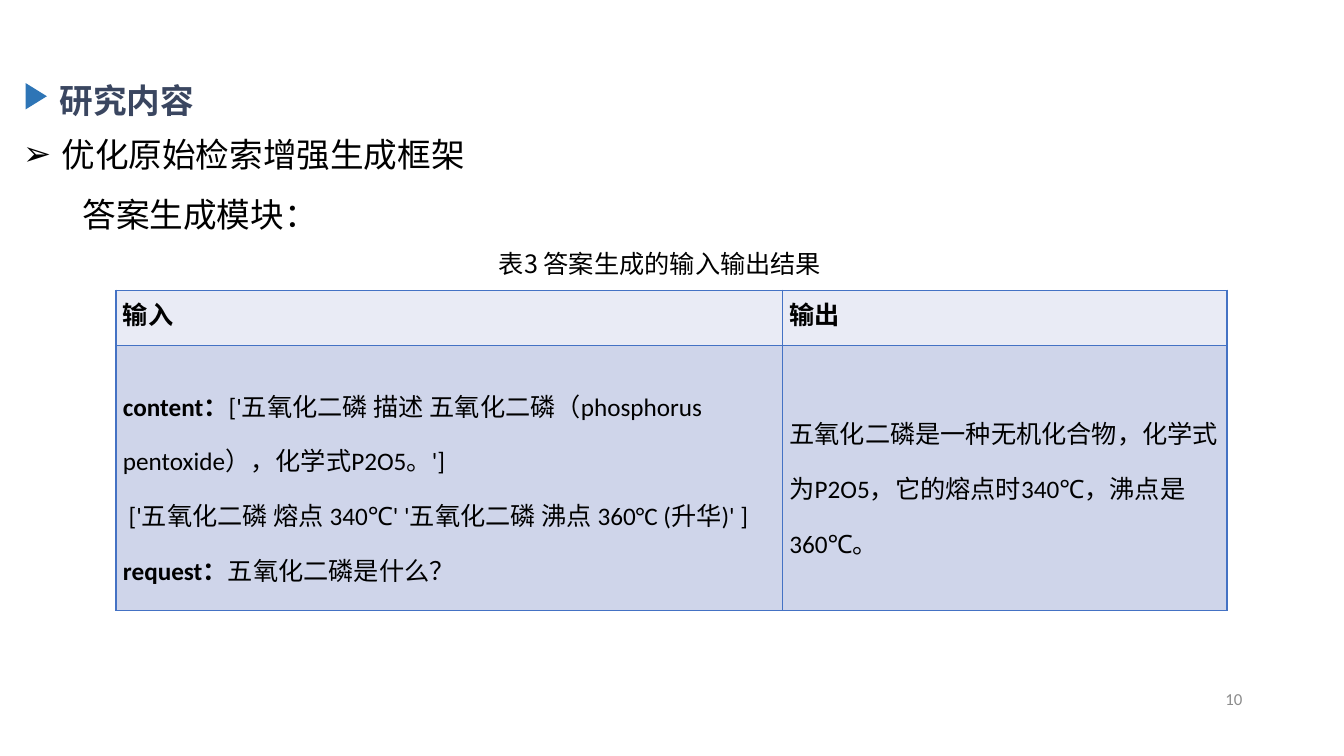
from dataclasses import dataclass

import lxml.etree
import pptx
import pptx.dml.color
import pptx.enum.shapes
import pptx.enum.text
import pptx.oxml
import pptx.oxml.ns
import pptx.presentation
import pptx.shapes.base
import pptx.slide
import pptx.table
import pptx.text.text
import pptx.util

Inches = pptx.util.Inches
Align = pptx.enum.text.PP_ALIGN
Anchor = pptx.enum.text.MSO_ANCHOR
qn = pptx.oxml.ns.qn


@dataclass(frozen=True)
class Theme:
    latin: str = "Calibri"
    chinese: str = "Noto Sans CJK SC"
    heading: str = "3A4660"
    text: str = "000000"
    muted: str = "8C8C8C"
    marker: str = "2E75B6"
    border: str = "4472C4"
    header_fill: str = "E9EBF5"
    body_fill: str = "CFD5EA"
    heading_size: int = 24
    table_size: int = 18
    number_size: int = 12


THEME = Theme()


@dataclass(frozen=True)
class Box:
    left: float
    top: float
    width: float
    height: float

    def lengths(self) -> tuple[int, ...]:
        return tuple(Inches(value) for value in (self.left, self.top, self.width, self.height))


@dataclass(frozen=True)
class Label:
    text: str
    box: Box
    size: int
    font: str = THEME.chinese
    color: str = THEME.text
    bold: bool = False
    align: Align = Align.LEFT
    anchor: Anchor = Anchor.TOP
    margins: tuple[float, float] = (0.1, 0.05)


@dataclass(frozen=True)
class Line:
    """One table paragraph: a bold lead followed by plain text."""

    lead: str = ""
    text: str = ""


@dataclass(frozen=True)
class Row:
    height: float
    fill: str
    spacing: float | pptx.util.Pt
    cells: tuple[tuple[Line, ...], ...]


TITLE = Label("研究内容", Box(0.52, 0.75, 4.57, 0.48), THEME.heading_size,
              color=THEME.heading, bold=True, margins=(0.07, 0.04))
TOPIC = Label("优化原始检索增强生成框架", Box(0.13, 1.28, 9.22, 0.55), THEME.heading_size)
LABELS = (
    Label("答案生成模块：", Box(0.72, 1.87, 11.89, 0.5), THEME.heading_size),
    Label("表3 答案生成的输入输出结果", Box(4.85, 2.41, 4.45, 1.01), THEME.table_size),
    Label("10", Box(9.42, 6.73, 3, 0.4), THEME.number_size, THEME.latin,
          THEME.muted, align=Align.RIGHT, anchor=Anchor.MIDDLE),
)
TABLE_BOX = Box(1.15, 2.88, 11.02, 2.48)
COLUMN_WIDTHS = (6.61, 4.41)
ROWS = (
    Row(0.55, THEME.header_fill, pptx.util.Pt(20), ((Line("输入"),), (Line("输出"),))),
    Row(1.93, THEME.body_fill, 1.5, (
        (
            Line("content：", "['五氧化二磷 描述 五氧化二磷（phosphorus pentoxide），化学式P2O5。']"),
            Line(text=" ['五氧化二磷 熔点 340℃' '五氧化二磷 沸点 360°C (升华)' ]"),
            Line("request：", "五氧化二磷是什么？"),
        ),
        (Line(text="五氧化二磷是一种无机化合物，化学式为P2O5，它的熔点时340℃，沸点是360℃。"),),
    )),
)


def rgb(color: str) -> pptx.dml.color.RGBColor:
    return pptx.dml.color.RGBColor.from_string(color)


def format_run(run: pptx.text.text._Run, font: str, size: int, color: str, bold: bool) -> None:
    run.font.name = font
    run.font.size = pptx.util.Pt(size)
    run.font.bold = bold
    run.font.color.rgb = rgb(color)
    east_asian = lxml.etree.SubElement(run._r.get_or_add_rPr(), qn("a:ea"))
    east_asian.set("typeface", THEME.chinese)


def write_label(shape: pptx.shapes.base.BaseShape, label: Label) -> None:
    shape.left, shape.top, shape.width, shape.height = label.box.lengths()
    frame = shape.text_frame
    frame.text = label.text
    frame.word_wrap = True
    frame.auto_size = pptx.enum.text.MSO_AUTO_SIZE.NONE
    frame.vertical_anchor = label.anchor
    frame.margin_left = frame.margin_right = Inches(label.margins[0])
    frame.margin_top = frame.margin_bottom = Inches(label.margins[1])
    paragraph = frame.paragraphs[0]
    paragraph.alignment = label.align
    paragraph.space_before = pptx.util.Pt(0)
    format_run(paragraph.runs[0], label.font, label.size, label.color, label.bold)


def set_bullet(paragraph: pptx.text.text._Paragraph, character: str, indent: float) -> None:
    properties = paragraph._p.get_or_add_pPr()
    properties.set("marL", str(Inches(indent)))
    properties.set("indent", str(-Inches(indent)))
    lxml.etree.SubElement(properties, qn("a:buChar")).set("char", character)


def add_marker(slide: pptx.slide.Slide) -> None:
    marker = slide.shapes.add_shape(pptx.enum.shapes.MSO_SHAPE.ISOSCELES_TRIANGLE,
                                    *Box(0.23, 0.85, 0.26, 0.21).lengths())
    marker.rotation = 90
    marker.shadow.inherit = False
    marker.fill.solid()
    marker.fill.fore_color.rgb = rgb(THEME.marker)
    marker.line.fill.background()


def set_borders(cell: pptx.table._Cell) -> None:
    properties = cell._tc.get_or_add_tcPr()
    for index, side in enumerate(("lnL", "lnR", "lnT", "lnB")):
        border = lxml.etree.Element(qn(f"a:{side}"), w=str(pptx.util.Pt(1)))
        fill = lxml.etree.SubElement(border, qn("a:solidFill"))
        lxml.etree.SubElement(fill, qn("a:srgbClr")).set("val", THEME.border)
        properties.insert(index, border)


def write_cell(cell: pptx.table._Cell, lines: tuple[Line, ...], row: Row) -> None:
    cell.fill.solid()
    cell.fill.fore_color.rgb = rgb(row.fill)
    set_borders(cell)
    cell.vertical_anchor = Anchor.MIDDLE
    cell.margin_left = cell.margin_right = Inches(0.07)
    cell.margin_top = cell.margin_bottom = 0
    frame = cell.text_frame
    for index, line in enumerate(lines):
        paragraph = frame.add_paragraph() if index else frame.paragraphs[0]
        paragraph.line_spacing = row.spacing
        for text, bold in ((line.lead, True), (line.text, False)):
            if text:
                run = paragraph.add_run()
                run.text = text
                format_run(run, THEME.latin, THEME.table_size, THEME.text, bold)


def add_result_table(slide: pptx.slide.Slide) -> None:
    table = slide.shapes.add_table(len(ROWS), len(COLUMN_WIDTHS), *TABLE_BOX.lengths()).table
    table.first_row = table.horz_banding = False
    for column, width in zip(table.columns, COLUMN_WIDTHS):
        column.width = Inches(width)
    for table_row, row in zip(table.rows, ROWS):
        table_row.height = Inches(row.height)
        for cell, lines in zip(table_row.cells, row.cells):
            write_cell(cell, lines, row)


def main() -> None:
    presentation = pptx.Presentation()
    presentation.slide_width, presentation.slide_height = Inches(13.33), Inches(7.5)
    slide = presentation.slides.add_slide(presentation.slide_layouts.get_by_name("Title and Content"))
    write_label(slide.shapes.title, TITLE)
    topic = slide.placeholders[1]
    write_label(topic, TOPIC)
    set_bullet(topic.text_frame.paragraphs[0], "➢", 0.38)
    add_marker(slide)
    add_result_table(slide)
    for label in LABELS:
        write_label(slide.shapes.add_textbox(*label.box.lengths()), label)
    presentation.save("out.pptx")


if __name__ == "__main__":
    main()
